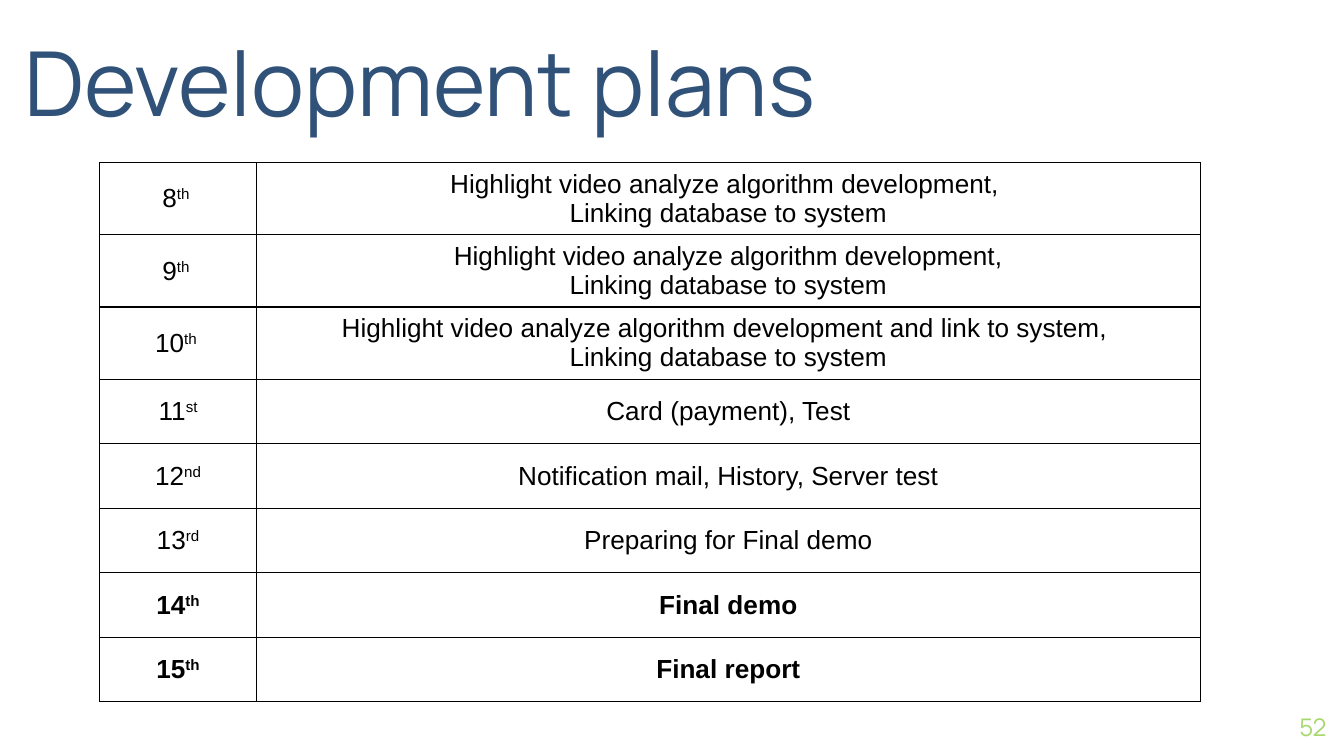
from dataclasses import dataclass

from lxml import etree
from pptx import Presentation
from pptx.dml.color import RGBColor
from pptx.enum.text import MSO_ANCHOR, MSO_AUTO_SIZE, PP_ALIGN
from pptx.oxml.ns import qn
from pptx.util import Inches, Pt

LEFT, CENTER, RIGHT = PP_ALIGN.LEFT, PP_ALIGN.CENTER, PP_ALIGN.RIGHT
MIDDLE, BOTTOM = MSO_ANCHOR.MIDDLE, MSO_ANCHOR.BOTTOM
NO_AUTOFIT = MSO_AUTO_SIZE.NONE

HEADING_FONT, TABLE_FONT = "Manrope", "Arial"
NAVY, GREEN, BLACK, WHITE = "305178", "A7D86D", "000000", "FFFFFF"
SUPERSCRIPT = "30000"
COLUMN_WIDTHS = (1.17, 7.02)
ROW_HEIGHT = 0.48
BORDER_WIDTH = Pt(0.75)


@dataclass(frozen=True)
class Week:
    number: str
    suffix: str
    tasks: tuple[str, ...]
    bold: bool = False


LINKING = "Linking database to system"
WEEKS = (
    Week("8", "th ", ("Highlight video analyze algorithm development, ", LINKING)),
    Week("9", "th ", ("Highlight video analyze algorithm development,", LINKING)),
    Week("10", "th ", (
        "Highlight video analyze algorithm development and link to system, ",
        LINKING,
    )),
    Week("11", "st", ("Card (payment), Test",)),
    Week("12", "nd", ("Notification mail, History, Server test",)),
    Week("13", "rd", ("Preparing for Final demo",)),
    Week("14", "th", ("Final demo",), bold=True),
    Week("15", "th", ("Final report",), bold=True),
)


def color(value: str) -> RGBColor:
    return RGBColor.from_string(value)


def add_run(paragraph, text: str, font: str, size: float, ink: str, bold: bool = False):
    run = paragraph.add_run()
    run.text = text
    run.font.name = font
    run.font.size = Pt(size)
    run.font.bold = bold
    run.font.color.rgb = color(ink)
    return run


def fill_heading(shape, text: str, size: float, ink: str, align, anchor) -> None:
    """Write one line of heading type into a frame without margins."""
    frame = shape.text_frame
    frame.word_wrap = True
    frame.auto_size = NO_AUTOFIT
    frame.vertical_anchor = anchor
    frame.margin_left = frame.margin_right = 0
    frame.margin_top = frame.margin_bottom = 0
    paragraph = frame.paragraphs[0]
    paragraph.alignment = align
    add_run(paragraph, text, HEADING_FONT, size, ink)


def style_cell(cell) -> None:
    """Give a cell thin black borders, a white fill and middle anchoring."""
    properties = cell._tc.get_or_add_tcPr()
    for side in ("a:lnL", "a:lnR", "a:lnT", "a:lnB"):
        line = etree.SubElement(properties, qn(side), w=str(BORDER_WIDTH))
        line_fill = etree.SubElement(line, qn("a:solidFill"))
        etree.SubElement(line_fill, qn("a:srgbClr"), val=BLACK)
    cell.fill.solid()
    cell.fill.fore_color.rgb = color(WHITE)
    cell.vertical_anchor = MIDDLE


def write_cell(cell, lines: tuple[str, ...], bold: bool, suffix: str = "") -> None:
    """Write centred lines, the last one followed by a raised suffix if given."""
    style_cell(cell)
    frame = cell.text_frame
    for index, line in enumerate(lines):
        paragraph = frame.add_paragraph() if index else frame.paragraphs[0]
        paragraph.alignment = CENTER
        add_run(paragraph, line, TABLE_FONT, 14, BLACK, bold)
    if suffix:
        raised = add_run(paragraph, suffix, TABLE_FONT, 14, BLACK, bold)
        raised._r.get_or_add_rPr().set("baseline", SUPERSCRIPT)


def add_schedule(slide, weeks: tuple[Week, ...]) -> None:
    table = slide.shapes.add_table(
        len(weeks), len(COLUMN_WIDTHS), Inches(0.74), Inches(1.21),
        Inches(sum(COLUMN_WIDTHS)), Inches(ROW_HEIGHT * len(weeks)),
    ).table
    table.first_row = table.horz_banding = False
    for column, width in zip(table.columns, COLUMN_WIDTHS):
        column.width = Inches(width)
    for index, week in enumerate(weeks):
        table.rows[index].height = Inches(ROW_HEIGHT)
        write_cell(table.cell(index, 0), (week.number,), week.bold, week.suffix)
        write_cell(table.cell(index, 1), week.tasks, week.bold)


def main() -> None:
    presentation = Presentation()
    presentation.slide_width = Inches(10)
    presentation.slide_height = Inches(10 * 9 / 16)
    title_only = presentation.slide_layouts[5]
    slide = presentation.slides.add_slide(title_only)

    page_number = slide.shapes.add_textbox(
        Inches(9.27), Inches(5.19), Inches(0.6), Inches(0.43))
    fill_heading(page_number, "52", 13, GREEN, RIGHT, MIDDLE)

    title = slide.shapes.title
    title.left, title.top = Inches(0.18), Inches(0.06)
    title.width, title.height = Inches(6.89), Inches(0.94)
    fill_heading(title, "Development plans", 48, NAVY, LEFT, BOTTOM)

    add_schedule(slide, WEEKS)
    presentation.save("out.pptx")


if __name__ == "__main__":
    main()
